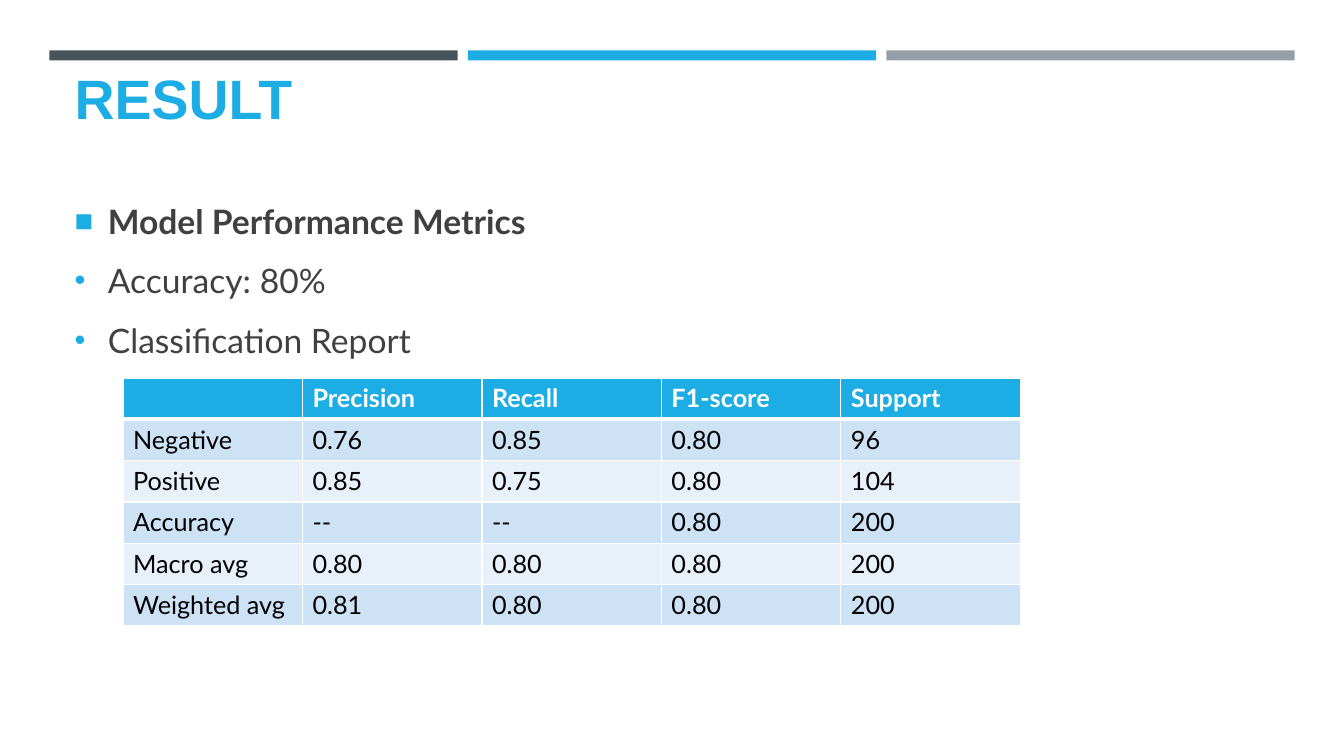
from lxml import etree
from pptx import Presentation
from pptx.dml.color import RGBColor
from pptx.enum.shapes import MSO_SHAPE
from pptx.enum.text import MSO_ANCHOR, MSO_AUTO_SIZE, PP_ALIGN
from pptx.oxml.ns import qn
from pptx.util import Inches, Pt

RECTANGLE = MSO_SHAPE.RECTANGLE
LEFT = PP_ALIGN.LEFT
TOP, BOTTOM = MSO_ANCHOR.TOP, MSO_ANCHOR.BOTTOM
NO_AUTOFIT = MSO_AUTO_SIZE.NONE

TITLE = "RESULT"
# text, bullet character, bold
POINTS = [
    ("Model Performance Metrics", "■", True),
    ("Accuracy: 80%", "•", False),
    ("Classification Report", "•", False),
]
REPORT = [
    ("", "Precision", "Recall", "F1-score", "Support"),
    ("Negative", "0.76", "0.85", "0.80", "96"),
    ("Positive", "0.85", "0.75", "0.80", "104"),
    ("Accuracy", "--", "--", "0.80", "200"),
    ("Macro avg", "0.80", "0.80", "0.80", "200"),
    ("Weighted avg", "0.81", "0.80", "0.80", "200"),
]
COLORS = {
    "slate": "465359", "accent": "1CADE4", "gray": "969FA7",
    "body": "404040", "black": "000000", "white": "FFFFFF",
    "band_dark": "CDE3F5", "band_light": "E8F1FA",
}
BAR_COLORS = ("slate", "accent", "gray")

# Lengths in inches
SLIDE_WIDTH, SLIDE_HEIGHT = 13.33, 7.5
BAR_LEFT, BAR_TOP, BAR_WIDTH, BAR_HEIGHT, BAR_GAP = 0.49, 0.5, 4.05, 0.1, 0.1
TITLE_BOX = (0.64, 0.77, 12.06, 0.58)
BODY_BOX = (0.64, 1.42, 12.06, 5.11)
BODY_TOP_INSET = 0.53
BULLET_INDENT = 0.33
TABLE_LEFT, TABLE_TOP = 1.22, 3.75
COLUMN_WIDTH, ROW_HEIGHT = 1.78, 0.41


def rgb(name):
    return RGBColor.from_string(COLORS[name])


def add_run(paragraph, text, font, size, color, bold):
    run = paragraph.add_run()
    run.text = text
    run.font.name = font
    run.font.size = Pt(size)
    run.font.bold = bold
    run.font.color.rgb = rgb(color)


def place(shape, box):
    shape.left, shape.top, shape.width, shape.height = map(Inches, box)


def set_bullet(paragraph, character):
    properties = paragraph._p.get_or_add_pPr()
    properties.set("marL", str(Inches(BULLET_INDENT)))
    properties.set("indent", str(-Inches(BULLET_INDENT)))
    color = etree.SubElement(properties, qn("a:buClr"))
    etree.SubElement(color, qn("a:srgbClr"), val=COLORS["accent"])
    etree.SubElement(properties, qn("a:buSzPct"), val="92000")
    etree.SubElement(properties, qn("a:buFont"), typeface="Arial")
    etree.SubElement(properties, qn("a:buChar"), char=character)


def set_borders(cell, bottom_width):
    """Draw white borders; call before filling the cell."""
    properties = cell._tc.get_or_add_tcPr()
    for side, width in (("L", 1), ("R", 1), ("T", 1), ("B", bottom_width)):
        line = etree.SubElement(properties, qn(f"a:ln{side}"), w=str(Pt(width)))
        fill = etree.SubElement(line, qn("a:solidFill"))
        etree.SubElement(fill, qn("a:srgbClr"), val=COLORS["white"])


def add_bars(slide):
    for index, color in enumerate(BAR_COLORS):
        left = BAR_LEFT + index * (BAR_WIDTH + BAR_GAP)
        bar = slide.shapes.add_shape(RECTANGLE, Inches(left), Inches(BAR_TOP),
                                     Inches(BAR_WIDTH), Inches(BAR_HEIGHT))
        bar.shadow.inherit = False
        bar.fill.solid()
        bar.fill.fore_color.rgb = rgb(color)
        bar.line.fill.background()


def fill_title(title):
    place(title, TITLE_BOX)
    frame = title.text_frame
    frame.auto_size = NO_AUTOFIT
    frame.vertical_anchor = BOTTOM
    paragraph = frame.paragraphs[0]
    paragraph.alignment = LEFT
    add_run(paragraph, TITLE, "Arial", 39.6, "accent", True)


def fill_body(body):
    place(body, BODY_BOX)
    frame = body.text_frame
    frame.auto_size = NO_AUTOFIT
    frame.vertical_anchor = TOP
    frame.margin_top = Inches(BODY_TOP_INSET)
    for index, (text, bullet, bold) in enumerate(POINTS):
        paragraph = frame.add_paragraph() if index else frame.paragraphs[0]
        paragraph.line_spacing = 1.1
        paragraph.space_before = Pt(4.8)
        paragraph.space_after = Pt(6)
        set_bullet(paragraph, bullet)
        add_run(paragraph, text, "Lato", 24, "body", bold)


def add_report(slide):
    rows, columns = len(REPORT), len(REPORT[0])
    table = slide.shapes.add_table(
        rows, columns, Inches(TABLE_LEFT), Inches(TABLE_TOP),
        Inches(columns * COLUMN_WIDTH), Inches(rows * ROW_HEIGHT)).table
    for column in table.columns:
        column.width = Inches(COLUMN_WIDTH)
    for row_index, values in enumerate(REPORT):
        table.rows[row_index].height = Inches(ROW_HEIGHT)
        header = row_index == 0
        band = "band_dark" if row_index % 2 else "band_light"
        for column_index, value in enumerate(values):
            cell = table.cell(row_index, column_index)
            set_borders(cell, 3 if header else 1)
            cell.fill.solid()
            cell.fill.fore_color.rgb = rgb("accent" if header else band)
            if value:
                add_run(cell.text_frame.paragraphs[0], value, "Lato", 18,
                        "white" if header else "black", header)


def main():
    presentation = Presentation()
    presentation.slide_width = Inches(SLIDE_WIDTH)
    presentation.slide_height = Inches(SLIDE_HEIGHT)
    slide = presentation.slides.add_slide(presentation.slide_layouts[1])
    add_bars(slide)
    fill_title(slide.shapes.title)
    fill_body(slide.placeholders[1])
    add_report(slide)
    presentation.save("out.pptx")


if __name__ == "__main__":
    main()
